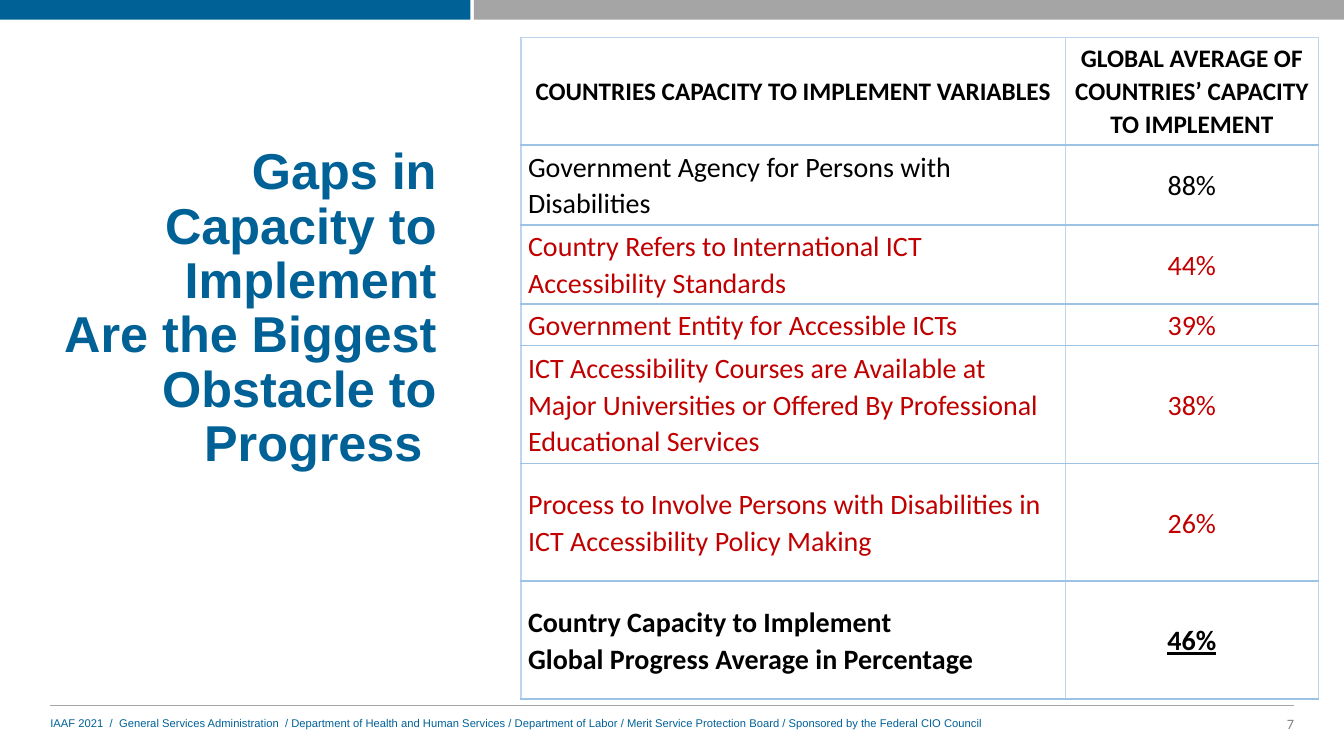
from lxml import etree
from pptx import Presentation, util as u
from pptx.dml.color import RGBColor
from pptx.enum import shapes, text
from pptx.oxml.ns import qn

BLUE, GRAY, RED, BLACK = "006197", "A5A5A5", "C00000", "000000"
LEFT, CENTER, RIGHT = text.PP_ALIGN.LEFT, text.PP_ALIGN.CENTER, text.PP_ALIGN.RIGHT


def color(value):
    return RGBColor.from_string(value)


def write(frame, words, size, font_name, hex_color, align, spacing, bold=False):
    frame.text = words
    frame.word_wrap = True
    paragraph = frame.paragraphs[0]
    paragraph.alignment = align
    paragraph.line_spacing = spacing
    for run in paragraph.runs:
        run.font.size = u.Pt(size)
        run.font.name = font_name
        run.font.bold = bold
        run.font.color.rgb = color(hex_color)


presentation = Presentation()
presentation.slide_width = u.Pt(960)
presentation.slide_height = u.Pt(540)
slide = presentation.slides.add_slide(presentation.slide_layouts[6])

for left, width, fill in [(0, 336, BLUE), (338.4, 621.6, GRAY)]:
    bar = slide.shapes.add_shape(
        shapes.MSO_SHAPE.RECTANGLE, u.Pt(left), u.Pt(0), u.Pt(width), u.Pt(14))
    bar.shadow.inherit = False
    bar.fill.solid()
    bar.fill.fore_color.rgb = color(fill)
    bar.line.fill.background()

footer_line = slide.shapes.add_connector(
    shapes.MSO_CONNECTOR.STRAIGHT, u.Pt(36), u.Pt(504), u.Pt(924), u.Pt(504))
footer_line.line.color.rgb = color(GRAY)
footer_line.line.width = u.Pt(0.75)
etree.SubElement(footer_line._element.spPr, qn("a:effectLst"))

footer = ("IAAF 2021  /  General Services Administration  / Department of Health and Human "
          "Services / Department of Labor / Merit Service Protection Board / "
          "Sponsored by the Federal CIO Council")
title = "Gaps in Capacity to Implement\vAre the Biggest Obstacle to Progress "
labels = [
    (36, 511.2, 819.4, 14.4, 0, 0, footer, 8, "Arial", BLUE, LEFT, 0.5, False),
    (28.8, 79.2, 290.2, 283.7, 7.2, 3.6, title, 36, "Arial", BLUE, RIGHT, 0.9, True),
    (912.2, 509.8, 12.2, 16.6, 0, 0, "7", 10.2, "Calibri", "808080", RIGHT, 0.9, False),
]
for left, top, width, height, side, edge, *style in labels:
    box = slide.shapes.add_textbox(u.Pt(left), u.Pt(top), u.Pt(width), u.Pt(height))
    frame = box.text_frame
    frame.margin_left = frame.margin_right = u.Pt(side)
    frame.margin_top = frame.margin_bottom = u.Pt(edge)
    frame.vertical_anchor = text.MSO_ANCHOR.MIDDLE
    write(frame, *style)

rows = [
    (77, "COUNTRIES CAPACITY TO IMPLEMENT VARIABLES",
     "GLOBAL AVERAGE OF COUNTRIES’ CAPACITY TO IMPLEMENT", BLACK),
    (56.9, "Government Agency for Persons with Disabilities", "88%", BLACK),
    (56.9, "Country Refers to International ICT Accessibility Standards", "44%", RED),
    (29.5, "Government Entity for Accessible ICTs", "39%", RED),
    (84.2, "ICT Accessibility Courses are Available at Major Universities "
     "or Offered By Professional Educational Services", "38%", RED),
    (84.2, "Process to Involve Persons with Disabilities in "
     "ICT Accessibility Policy Making", "26%", RED),
    (84.2, "Country Capacity to Implement \vGlobal Progress Average in Percentage",
     "46%", BLACK),
]
last = len(rows) - 1
table = slide.shapes.add_table(
    len(rows), 2, u.Pt(372.2), u.Pt(26.6), u.Pt(569.5), u.Pt(473)).table
table.horz_banding = False
table.columns[0].width = u.Pt(388.8)
table.columns[1].width = u.Pt(180.7)

for row_index, (height, variable, average, ink) in enumerate(rows):
    table.rows[row_index].height = u.Pt(height)
    for column_index, words in enumerate((variable, average)):
        cell = table.cell(row_index, column_index)
        cell.margin_left = cell.margin_right = u.Pt(5)
        cell.margin_top = cell.margin_bottom = u.Pt(0)
        cell.vertical_anchor = text.MSO_ANCHOR.MIDDLE
        header = row_index == 0
        write(cell.text_frame, words, 18 if header else 20, "Calibri", ink,
              CENTER if header or column_index == 1 else LEFT, 1.07,
              row_index in (0, last))
        properties = cell._tc.get_or_add_tcPr()
        for side in "LRTB":
            strong = side == "B" or (side == "T" and not header)
            border = etree.SubElement(
                properties, qn(f"a:ln{side}"), w=str(u.Pt(1.5 if strong else 1)))
            border_fill = etree.SubElement(border, qn("a:solidFill"))
            etree.SubElement(border_fill, qn("a:srgbClr"),
                             val="9CC2E5" if strong else "BDD6EE")
        cell.fill.background()

table.cell(last, 1).text_frame.paragraphs[0].runs[0].font.underline = True

presentation.save("out.pptx")
